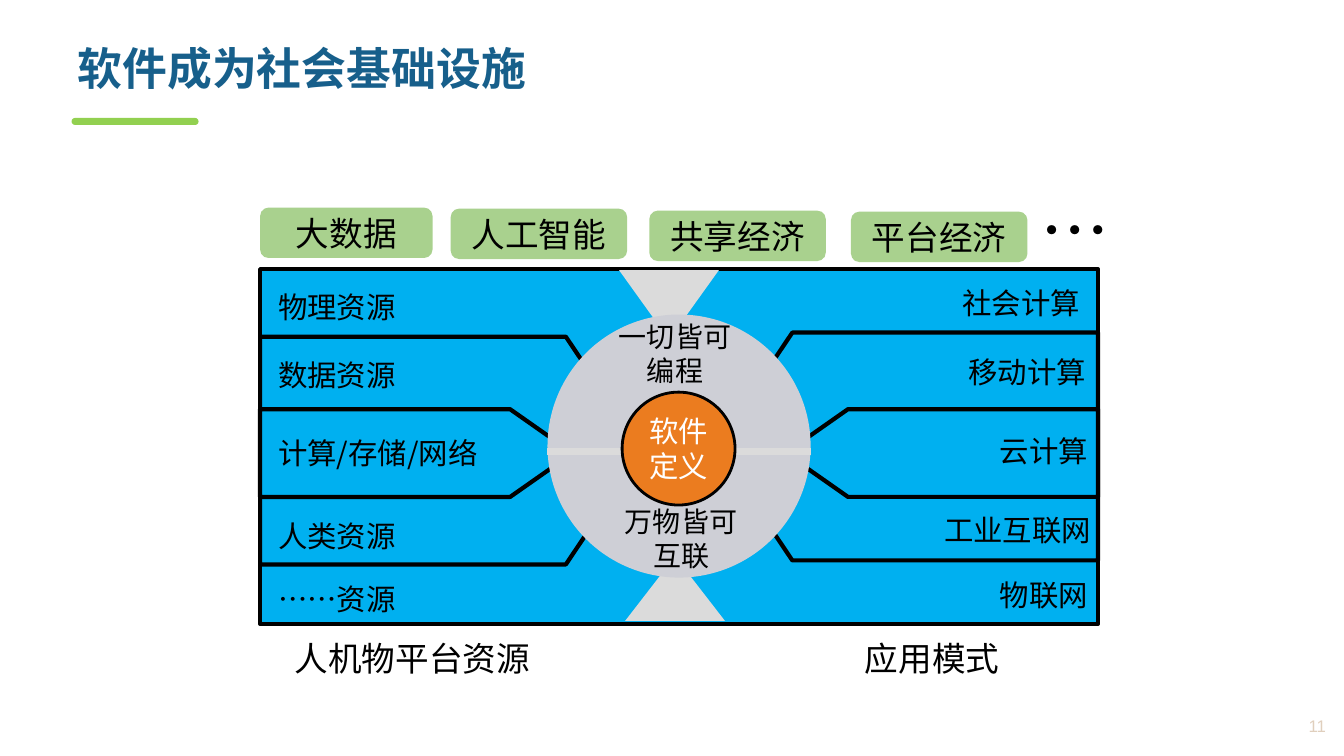
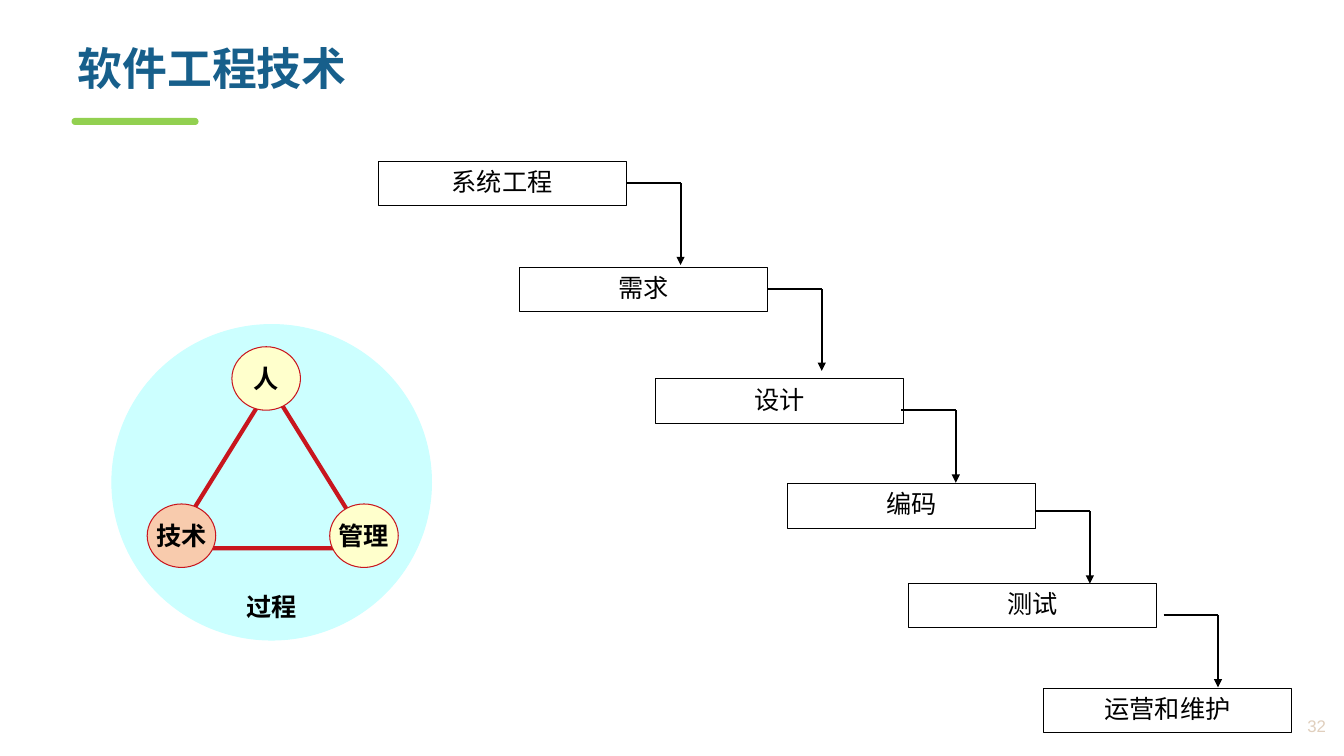
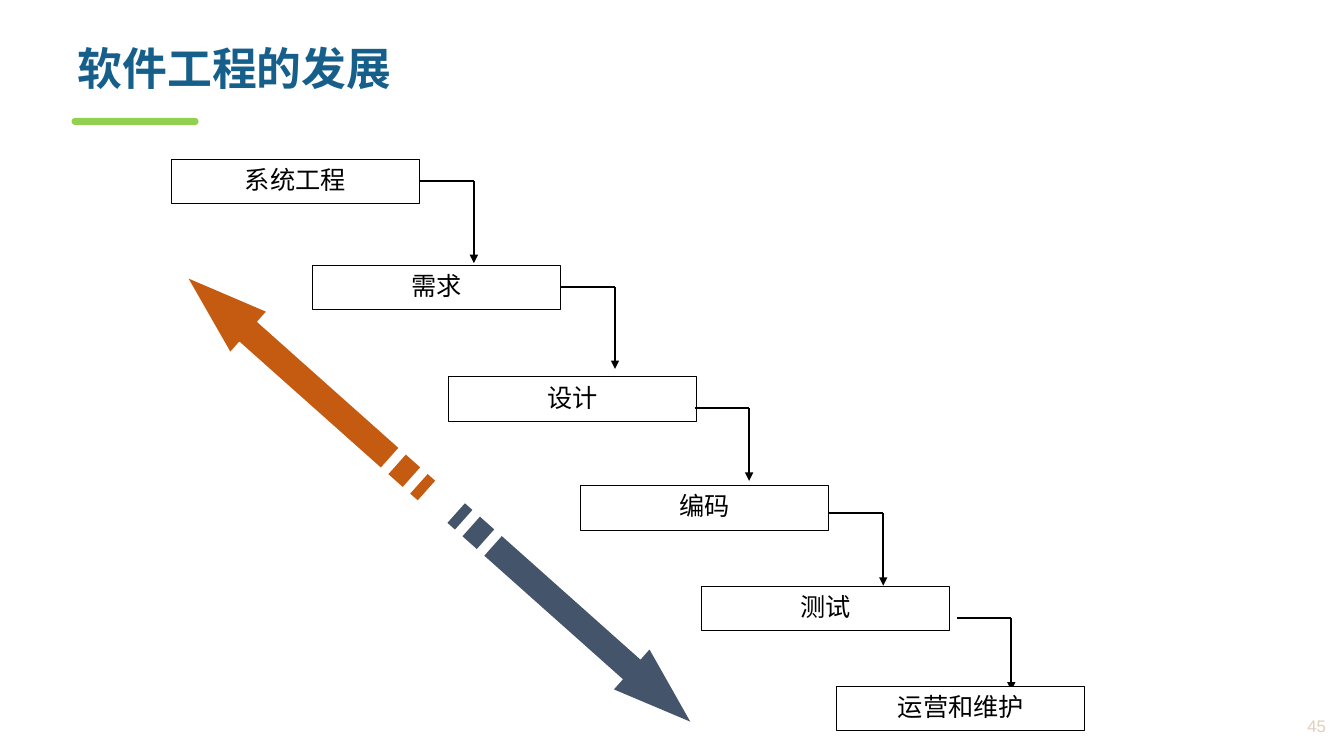
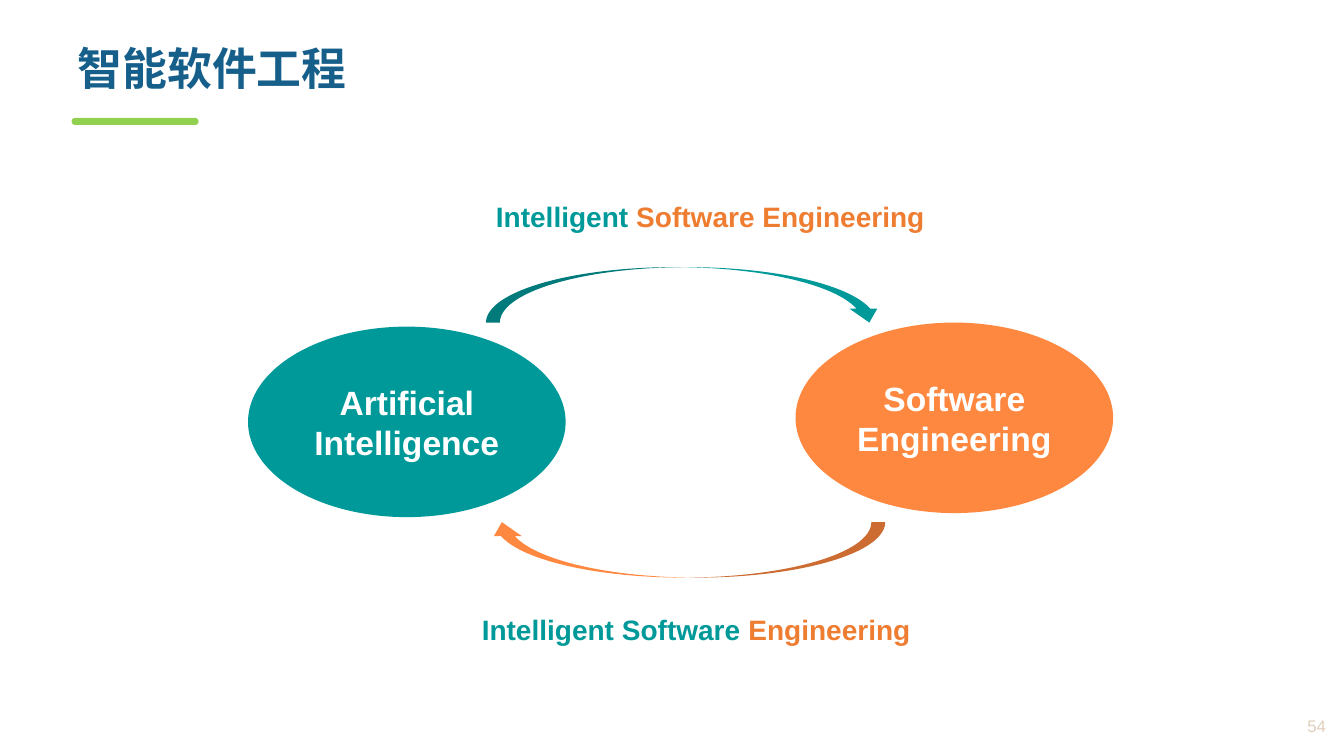
from dataclasses import dataclass

from lxml.etree import SubElement
from pptx import Presentation
from pptx.dml.color import RGBColor
from pptx.enum.shapes import MSO_CONNECTOR, MSO_SHAPE
from pptx.enum.text import MSO_ANCHOR, MSO_AUTO_SIZE, PP_ALIGN
from pptx.oxml.ns import qn
from pptx.util import Inches, Pt

LEFT, CENTER, RIGHT = PP_ALIGN.LEFT, PP_ALIGN.CENTER, PP_ALIGN.RIGHT
TOP, MIDDLE = MSO_ANCHOR.TOP, MSO_ANCHOR.MIDDLE


@dataclass(frozen=True)
class Style:
    size: float
    color: str = "000000"
    font: str = "Noto Sans CJK SC"
    bold: bool = False


@dataclass(frozen=True)
class Theme:
    # colours
    black: str = "000000"
    white: str = "FFFFFF"
    accent: str = "92D050"
    sky: str = "00B0F0"
    funnel: str = "DBDBDB"
    hub: str = "CECFD6"
    core: str = "EB7C1F"
    tag: str = "A9D18E"
    red: str = "C8161E"
    aqua: str = "CCFFFF"
    cream: str = "FFFFCC"
    peach: str = "F8CBAD"
    slate: str = "44546A"
    rust: str = "C55A11"
    teal: str = "009999"
    orange: str = "FF8840"
    caption_orange: str = "EE7D31"
    # type
    east_asian: str = "Noto Sans CJK SC"
    title: Style = Style(32, "175F8B", bold=True)
    number: Style = Style(12, "E0CFBD", "Arial")
    heading: Style = Style(24)
    label: Style = Style(21)
    hub_text: Style = Style(20)
    core_text: Style = Style(21, "FFFFFF")
    dots: Style = Style(49.5)
    step: Style = Style(18, font="Times New Roman")
    team: Style = Style(18, bold=True)
    field: Style = Style(24, "FFFFFF", "Arial", True)
    caption: Style = Style(20, "009999", "Arial", True)


THEME = Theme()


@dataclass(frozen=True)
class Box:
    """A region on the slide grid, whose cells are one inch square."""
    col: float
    row: float
    cols: float
    rows: float

    def within(self, col, row, cols, rows):
        return Box(self.col + col, self.row + row, cols, rows)

    def emu(self):
        return [Inches(v) for v in (self.col, self.row, self.cols, self.rows)]


SLIDE = Box(0, 0, 13.33, 7.5)
TITLE = SLIDE.within(0.67, 0.41, 12.19, 0.75)
ACCENT = SLIDE.within(0.71, 1.17, 1.26, 0.07)
NUMBER = SLIDE.within(12.12, 7.01, 1.13, 0.38)
ROOMY = (0.12, 0.06)
STEP_COLS, STEP_ROWS, ELBOW_COLS = 2.46, 0.44, 0.54


# Shared drawing helpers

def write(shape, paragraphs, style, align=LEFT, anchor=TOP,
          inset=(0.1, 0.05), wrap=True, spacing=None):
    """Each paragraph is a string or a list of (text, colour) runs."""
    frame = shape.text_frame
    frame.auto_size = MSO_AUTO_SIZE.NONE
    frame.word_wrap = wrap
    frame.vertical_anchor = anchor
    frame.margin_left = frame.margin_right = Inches(inset[0])
    frame.margin_top = frame.margin_bottom = Inches(inset[1])
    for index, content in enumerate(paragraphs):
        paragraph = frame.add_paragraph() if index else frame.paragraphs[0]
        paragraph.alignment = align
        if spacing:
            paragraph.line_spacing = spacing
        runs = [(content, style.color)] if isinstance(content, str) else content
        for text, color in runs:
            run = paragraph.add_run()
            run.text = text
            run.font.size = Pt(style.size)
            run.font.bold = style.bold
            run.font.color.rgb = RGBColor.from_string(color)
            run.font.name = style.font
            properties = run._r.get_or_add_rPr()
            SubElement(properties, qn("a:ea"), typeface=THEME.east_asian)


def paint(shape, fill=None, line=None, width=0.75):
    shape.shadow.inherit = False
    if fill:
        shape.fill.solid()
        shape.fill.fore_color.rgb = RGBColor.from_string(fill)
    else:
        shape.fill.background()
    if line:
        shape.line.color.rgb = RGBColor.from_string(line)
        shape.line.width = Pt(width)
    else:
        shape.line.fill.background()
    return shape


def draw(shapes, kind, box, fill=None, line=None, width=0.75):
    return paint(shapes.add_shape(kind, *box.emu()), fill, line, width)


def add_label(shapes, box, paragraphs, style, **layout):
    write(shapes.add_textbox(*box.emu()), paragraphs, style, **layout)


def add_line(shapes, start, end, color, width, arrow=False):
    ends = [Inches(v) for v in (*start, *end)]
    connector = shapes.add_connector(MSO_CONNECTOR.STRAIGHT, *ends)
    connector.line.color.rgb = RGBColor.from_string(color)
    connector.line.width = Pt(width)
    properties = connector.element.spPr
    if arrow:
        SubElement(properties.find(qn("a:ln")), qn("a:tailEnd"), type="triangle")
    SubElement(properties, qn("a:effectLst"))
    return connector


def add_slide(deck, title, number):
    slide = deck.slides.add_slide(deck.slide_layouts[5])
    heading = slide.shapes.title
    heading.left, heading.top, heading.width, heading.height = TITLE.emu()
    write(heading, [title], THEME.title, spacing=0.9)
    add_label(slide.shapes, NUMBER, [str(number)], THEME.number,
              align=RIGHT, anchor=MIDDLE)
    return slide.shapes


def add_accent_to_layout(deck, shapes):
    """Draw the accent bar and move it to the layout all slides share."""
    bar = draw(shapes, MSO_SHAPE.ROUND_2_SAME_RECTANGLE, ACCENT, THEME.accent)
    bar.adjustments[0] = bar.adjustments[1] = 0.5
    bar.element.nvSpPr.cNvPr.set("id", "20")
    deck.slide_layouts[5].shapes.element.append(bar.element)


# Infrastructure slide

def add_tags(shapes, box):
    tags = [("大数据", 0, 0, 1.71), ("人工智能", 1.89, 0.01, 1.75),
            ("共享经济", 3.86, 0.03, 1.75), ("平台经济", 5.86, 0.04, 1.75)]
    for name, col, row, cols in tags:
        tag = draw(shapes, MSO_SHAPE.ROUNDED_RECTANGLE,
                   box.within(col, row, cols, 0.5), THEME.tag)
        write(tag, [name], THEME.heading, CENTER, MIDDLE)
    add_label(shapes, box.within(7.64, -0.25, 0.77, 0.93), ["…"], THEME.dots,
              wrap=False)


def add_pointer(shapes, box, angle):
    """A sideways pointer that fills the box once it is turned."""
    turned = box.within((box.cols - box.rows) / 2, (box.rows - box.cols) / 2,
                        box.rows, box.cols)
    draw(shapes, MSO_SHAPE.FLOWCHART_OFFPAGE_CONNECTOR, turned,
         THEME.sky, THEME.black, 3).rotation = angle


def add_funnel(shapes, box, angle):
    funnel = draw(shapes, MSO_SHAPE.TRAPEZOID, box, THEME.funnel)
    funnel.adjustments[0] = 2.03
    funnel.rotation = angle


def add_hub(shapes, box):
    draw(shapes, MSO_SHAPE.OVAL, box, THEME.hub)
    add_line(shapes, (box.col, box.row + 1.36),
             (box.col + box.cols, box.row + 1.36), THEME.funnel, 4.5)
    for col, row, lines in [(-0.04, 0, ["一切皆可", "编程"]),
                            (0.02, 1.84, ["万物皆可", "互联"])]:
        add_label(shapes, box.within(col, row, box.cols, 0.77), lines,
                  THEME.hub_text, align=CENTER)
    core = draw(shapes, MSO_SHAPE.OVAL, box.within(0.74, 0.77, 1.12, 1.12),
                THEME.core, THEME.black, 2)
    write(core, ["软件定义"], THEME.core_text, CENTER, MIDDLE, (0.05, 0.05))


def add_platform(shapes, box):
    draw(shapes, MSO_SHAPE.RECTANGLE, box, THEME.sky, THEME.black, 3)
    # nested pointers: depth, height, top on the right, top on the left
    for depth, height, right_row, left_row in [(3.79, 2.26, 0.63, 0.67),
                                               (3.1, 0.87, 1.39, 1.39)]:
        add_pointer(shapes, box.within(box.cols - depth, right_row, depth, height), 90)
        add_pointer(shapes, box.within(0, left_row, depth, height), 270)
    add_funnel(shapes, box.within(3.56, 0.01, 0.99, 0.69), 180)
    add_funnel(shapes, box.within(3.62, 2.85, 0.99, 0.64), 0)
    add_hub(shapes, box.within(2.85, 0.45, 2.61, 2.61))

    resources = [("物理资源", 0.15), ("数据资源", 0.82), ("计算/存储/网络", 1.6),
                 ("人类资源", 2.42), ("……资源", 3.05)]
    for name, row in resources:
        add_label(shapes, box.within(0.08, row, 2.68, 0.45), [name], THEME.label)
    # applications: name, top, distance past the common right edge
    applications = [("社会计算", 0.11, -0.08), ("移动计算", 0.79, -0.02),
                    ("云计算", 1.58, 0), ("工业互联网", 2.36, 0.03),
                    ("物联网", 3.01, 0)]
    for name, row, shift in applications:
        add_label(shapes, box.within(box.cols - 2.85 + shift, row, 2.85, 0.45),
                  [name], THEME.label, align=RIGHT)
    for name, col, cols in [("人机物平台资源", 0.02, 2.98), ("应用模式", 5.49, 2.35)]:
        add_label(shapes, box.within(col, box.rows + 0.09, cols, 0.5), [name],
                  THEME.heading, align=CENTER)


# Waterfall slides

def add_waterfall(shapes, box, rows):
    middle = (STEP_COLS, STEP_ROWS / 2)
    # name, column, where the elbow leaves the step, drop of its arrow
    steps = [("系统工程", 0, middle, 0.81), ("需求", 1.4, middle, 0.81),
             ("设计", 2.75, (2.44, 0.31), 0.72), ("编码", 4.06, (2.46, 0.27), 0.72),
             ("测试", 5.26, (2.53, 0.31), 0.72), ("运营和维护", 6.6, None, 0)]
    for (name, col, leave, drop), row in zip(steps, rows):
        place = box.within(col, row, STEP_COLS, STEP_ROWS)
        step = draw(shapes, MSO_SHAPE.RECTANGLE, place, THEME.white, THEME.black)
        write(step, [name], THEME.step, CENTER)
        if leave is None:
            continue
        start = (place.col + leave[0], place.row + leave[1])
        corner = (start[0] + ELBOW_COLS, start[1])
        run_out = add_line(shapes, start, corner, THEME.black, 1.5)
        if leave == middle:
            run_out.begin_connect(step, 3)
        add_line(shapes, corner, (corner[0], corner[1] + drop), THEME.black, 1.5,
                 arrow=True)


def add_team_triangle(shapes, box):
    group = shapes.add_group_shape().shapes
    draw(group, MSO_SHAPE.OVAL, box, THEME.aqua, THEME.aqua)
    draw(group, MSO_SHAPE.ISOSCELES_TRIANGLE, box.within(0.57, 0.61, 2, 1.61),
         line=THEME.red, width=3)
    for name, col, row, fill in [("技术", 0.35, 1.78, THEME.peach),
                                 ("人", 1.19, 0.22, THEME.cream),
                                 ("管理", 2.16, 1.78, THEME.cream)]:
        node = draw(group, MSO_SHAPE.OVAL, box.within(col, row, 0.68, 0.63),
                    fill, THEME.red)
        write(node, [name], THEME.team, CENTER, MIDDLE, ROOMY, wrap=False)
    add_label(group, box.within(1.21, 2.59, 0.95, 0.42), ["过程"], THEME.team,
              inset=ROOMY)


def add_striped_arrow(shapes, box, angle, fill):
    center = box.rows / 2
    upper, lower = center - 0.13, center + 0.13
    neck = box.cols * 0.75

    def bar(left, right):
        return [(left, upper), (right, upper), (right, lower), (left, lower)]

    body = [(0.49, upper), (neck, upper), (neck, 0), (box.cols, center),
            (neck, box.rows), (neck, lower), (0.49, lower)]
    builder = None
    for outline in (bar(0, 0.1), bar(0.2, 0.39), body):
        points = [(Inches(box.col + x), Inches(box.row + y)) for x, y in outline]
        if builder is None:
            builder = shapes.build_freeform(*points[0])
        else:
            builder.move_to(*points[0])
        builder.add_line_segments(points[1:], close=True)
    paint(builder.convert_to_shape(), fill).rotation = angle


# Intelligent software engineering slide

def add_cycle(shapes, box):
    fields = [(5.43, 0, THEME.orange, ["Software Engineering"]),
              (0, 0.04, THEME.teal, ["Artificial", "Intelligence"])]
    for col, row, fill, lines in fields:
        field = draw(shapes, MSO_SHAPE.OVAL, box.within(col, row, 3.15, 1.89), fill)
        write(field, lines, THEME.field, CENTER, MIDDLE, ROOMY)
    for col, row, fill, angle in [(2.36, -0.55, THEME.teal, 0),
                                  (2.38, 1.98, THEME.orange, 180)]:
        draw(shapes, MSO_SHAPE.CURVED_DOWN_ARROW, box.within(col, row, 3.94, 0.55),
             fill).rotation = angle
    for col, row, first, second in [
            (2.36, -1.27, "Intelligent ", "Software Engineering"),
            (2.22, 2.83, "Intelligent Software ", "Engineering")]:
        runs = [(first, THEME.teal), (second, THEME.caption_orange)]
        add_label(shapes, box.within(col, row, 4.48, 0.44), [runs], THEME.caption,
                  wrap=False)


def main():
    deck = Presentation()
    deck.slide_width, deck.slide_height = SLIDE.emu()[2:]

    infrastructure = add_slide(deck, "软件成为社会基础设施", 11)
    add_accent_to_layout(deck, infrastructure)
    add_platform(infrastructure, SLIDE.within(2.58, 2.67, 8.31, 3.52))
    add_tags(infrastructure, SLIDE.within(2.58, 2.06, 8.31, 0.54))

    techniques = add_slide(deck, "软件工程技术", 32)
    add_waterfall(techniques, SLIDE.within(3.75, 1.6, 9.06, 5.67),
                  [0, 1.05, 2.16, 3.2, 4.19, 5.23])
    add_team_triangle(techniques, SLIDE.within(1.11, 3.22, 3.17, 3.13))

    progress = add_slide(deck, "软件工程的发展", 45)
    add_waterfall(progress, SLIDE.within(1.7, 1.58, 9.06, 5.67),
                  [0, 1.05, 2.16, 3.24, 4.24, 5.23])
    add_striped_arrow(progress, SLIDE.within(4.13, 5.86, 3.11, 0.53), 41.7, THEME.slate)
    add_striped_arrow(progress, SLIDE.within(1.47, 3.55, 3.16, 0.53), 221.7, THEME.rust)

    intelligent = add_slide(deck, "智能软件工程", 54)
    add_cycle(intelligent, SLIDE.within(2.46, 3.2, 8.58, 1.93))

    deck.save("out.pptx")


if __name__ == "__main__":
    main()
